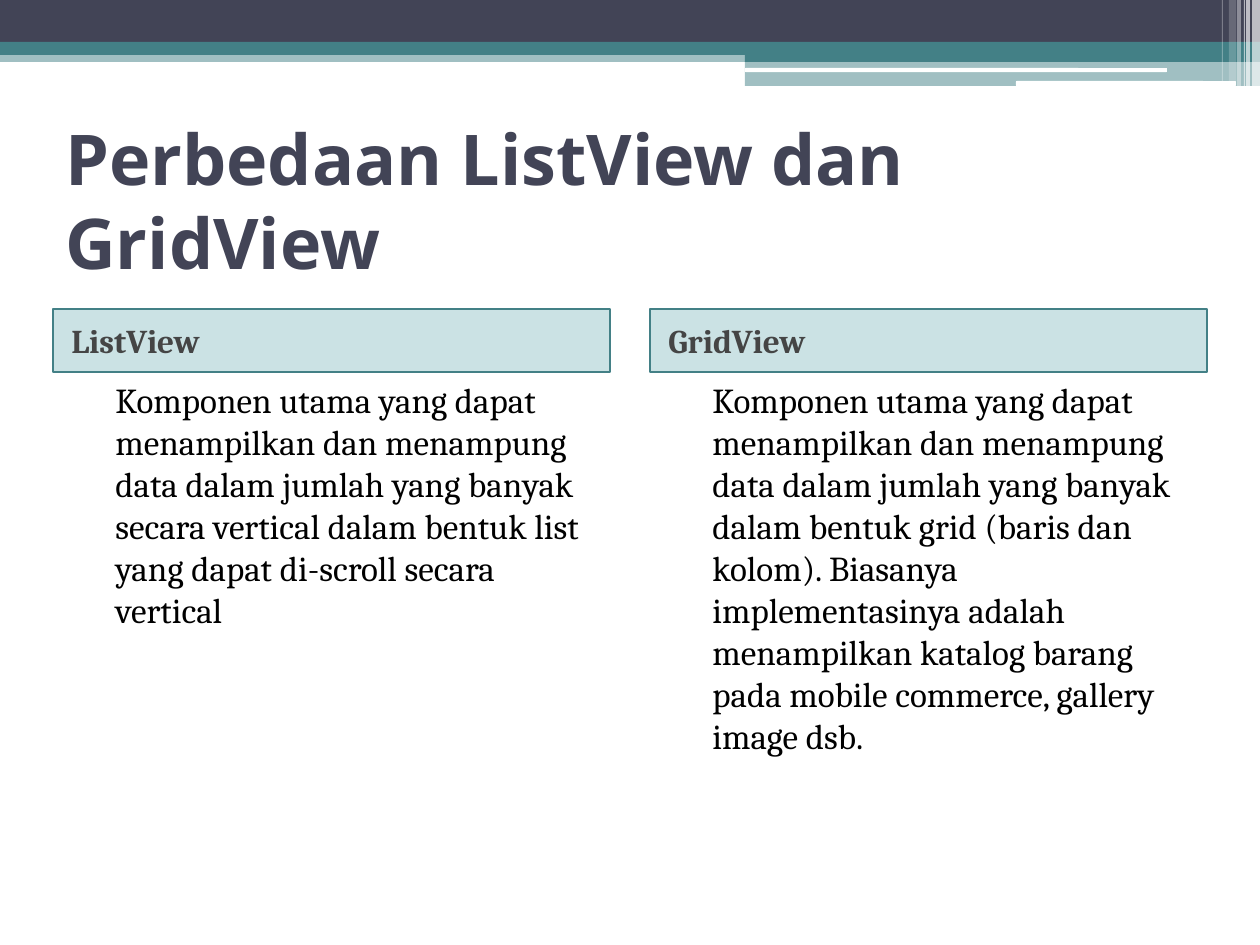
from lxml.etree import SubElement
from pptx import Presentation
from pptx.dml.color import RGBColor
from pptx.enum.shapes import MSO_SHAPE as Shape
from pptx.enum.text import MSO_ANCHOR as Anchor
from pptx.oxml.ns import qn
from pptx.util import Pt

THEME = {
    "navy": "424456", "teal": "438086", "white": "FFFFFF",
    "header_fill": "328E97", "header_text": "454545", "body_text": "000000",
    "title_font": "Open Sans", "body_font": "Cambria",
    "title_size": 40, "header_size": 19, "body_size": 20,
}

TITLE = "Perbedaan ListView dan GridView"
COLUMNS = [
    ("ListView",
     "Komponen utama yang dapat menampilkan dan menampung data dalam jumlah "
     "yang banyak secara vertical dalam bentuk list yang dapat di-scroll "
     "secara vertical"),
    ("GridView",
     "Komponen utama yang dapat menampilkan dan menampung data dalam jumlah "
     "yang banyak dalam bentuk grid (baris dan kolom). Biasanya "
     "implementasinya adalah menampilkan katalog barang pada mobile commerce, "
     "gallery image dsb."),
]

# Lengths are pixels, 126 to the inch.
SCALE = 914400 / 126
WIDTH, HEIGHT = 1260, 945
MARGIN, COLUMN_WIDTH = 53, 557
HEADER_TOP, HEADER_HEIGHT, BODY_HEIGHT = 309, 63, 536

# left, top, width, height, colour, opacity in percent
BANDS = [
    (0, 50, WIDTH, 12, "teal", 50),
    (0, 0, WIDTH, 43, "navy", 100),
    (0, 42, WIDTH, 13, "teal", 100),
    (745, 49, 515, 13, "teal", 100),
    (745, 61, 515, 25, "teal", 50),
]
PILLS = [(745, 68, 422, 4), (1016, 81, 220, 5)]
# left, width, height, opacity in percent
STRIPES = [
    (1252, 8, 86, 65), (1246, 4, 86, 65), (1244, 1, 86, 60),
    (1237, 4, 86, 40), (1229, 7, 81, 20), (1222, 1, 81, 30),
]


def px(length):
    """Turn pixels into EMU."""
    return round(length * SCALE)


def color(name):
    """Look up a theme colour."""
    return RGBColor.from_string(THEME[name])


def add_block(page, left, top, width, height, fill, opacity=100,
              kind=Shape.RECTANGLE):
    """Add a filled shape without outline or shadow."""
    block = page.shapes.add_shape(kind, px(left), px(top), px(width), px(height))
    block.shadow.inherit = False
    block.fill.solid()
    block.fill.fore_color.rgb = color(fill)
    block.line.fill.background()
    if opacity < 100:
        tint = block.fill._xPr.find(".//" + qn("a:srgbClr"))
        SubElement(tint, qn("a:alpha"), val=str(opacity * 1000))
    return block


def write(box, text, font, size, ink, bold=False, anchor=Anchor.TOP,
          indent=0, before=0):
    """Put one left-aligned paragraph into a box and format it."""
    frame = box.text_frame
    frame.word_wrap = True
    frame.vertical_anchor = anchor
    frame.text = text
    para = frame.paragraphs[0]
    para.space_before = Pt(before)
    properties = para._p.get_or_add_pPr()
    properties.set("algn", "l")
    properties.set("marL", str(px(indent)))
    span = para.runs[0].font
    span.name, span.size, span.bold = THEME[font], Pt(THEME[size]), bold
    span.color.rgb = color(ink)


def add_text(page, left, top, width, height, *content, **style):
    """Add a text box."""
    box = page.shapes.add_textbox(px(left), px(top), px(width), px(height))
    write(box, *content, **style)


def add_decoration(page):
    """Draw the bands, white pills and stripes along the top."""
    for band in BANDS:
        add_block(page, *band)
    for pill in PILLS:
        add_block(page, *pill, "white", kind=Shape.ROUNDED_RECTANGLE)
    for left, width, height, opacity in STRIPES:
        add_block(page, left, 0, width, height, "white", opacity)


def add_column(page, left, heading, text):
    """Add a boxed heading with its description below."""
    header = add_block(page, left, HEADER_TOP, COLUMN_WIDTH, HEADER_HEIGHT,
                       "header_fill", 25)
    header.line.color.rgb = color("teal")
    header.line.width = Pt(1)
    write(header, heading, "body_font", "header_size", "header_text",
          bold=True, anchor=Anchor.MIDDLE, indent=6, before=3)
    add_text(page, left, HEADER_TOP + HEADER_HEIGHT, COLUMN_WIDTH, BODY_HEIGHT,
             text, "body_font", "body_size", "body_text", indent=50, before=3)


def main():
    """Build and save the slide."""
    deck = Presentation()
    deck.slide_width, deck.slide_height = px(WIDTH), px(HEIGHT)
    page = deck.slides.add_slide(deck.slide_layouts[6])
    add_decoration(page)
    add_text(page, MARGIN, 126, WIDTH - 2 * MARGIN, 147, TITLE, "title_font",
             "title_size", "navy", bold=True, anchor=Anchor.MIDDLE)
    step = WIDTH - 2 * MARGIN - COLUMN_WIDTH
    for index, (heading, text) in enumerate(COLUMNS):
        add_column(page, MARGIN + index * step, heading, text)
    deck.save("out.pptx")


main()
